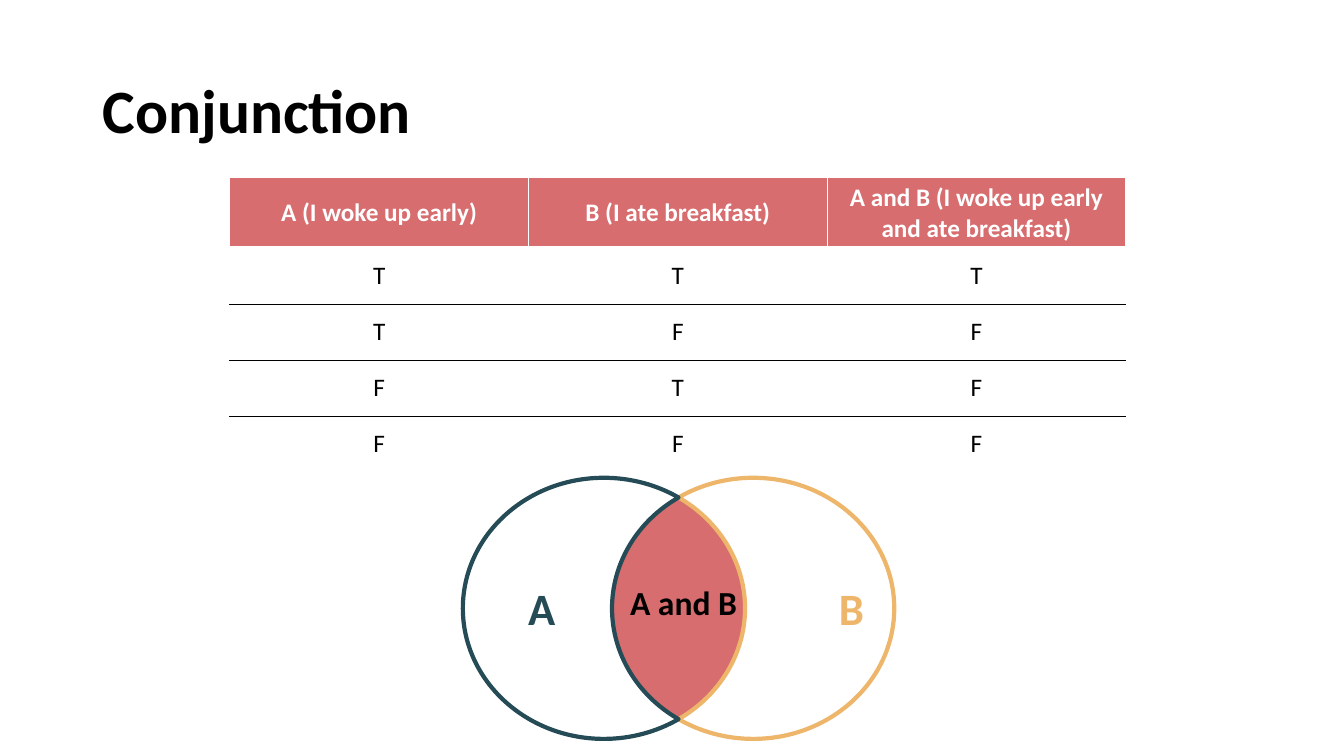
import math
import dataclasses
import pptx
import pptx.util
import pptx.dml.color
import pptx.enum.text
import pptx.oxml
import pptx.oxml.ns


@dataclasses.dataclass(frozen=True)
class Theme:
    font: str = "Calibri"
    black: str = "000000"
    white: str = "FFFFFF"
    rose: str = "D76D6F"
    teal: str = "254B56"
    gold: str = "EEB66B"
    blue: str = "325491"
    title: int = 44
    name: int = 32
    both: int = 24
    cell: int = 18


THEME = Theme()
WIDE = pptx.util.Inches(13.33)
HIGH = pptx.util.Inches(7.5)
ALIGN = pptx.enum.text.PP_ALIGN
ANCHOR = pptx.enum.text.MSO_ANCHOR
HEAD = ["A (I woke up early)", "B (I ate breakfast)",
        "A and B (I woke up early and ate breakfast)"]
TRUTH = ["TTT", "TFF", "FTF", "FFF"]


def across(share):
    return round(WIDE * share / 100)


def down(share):
    return round(HIGH * share / 100)


def color(code):
    return pptx.dml.color.RGBColor.from_string(code)


def write(frame, text, size, ink=THEME.black, bold=True, align=ALIGN.LEFT, space=None):
    para = frame.paragraphs[0]
    para.alignment = align
    para.line_spacing = space
    run = para.add_run()
    run.text = text
    run.font.name = THEME.font
    run.font.size = pptx.util.Pt(size)
    run.font.bold = bold
    run.font.color.rgb = color(ink)


def label(slide, text, left, top, width, height, size, anchor=ANCHOR.TOP, **form):
    box = slide.shapes.add_textbox(across(left), down(top), across(width), down(height))
    box.text_frame.word_wrap = True
    box.text_frame.vertical_anchor = anchor
    write(box.text_frame, text, size, **form)


def border(cell, side, ink, width):
    line = pptx.oxml.parse_xml(
        f'<a:ln{side} {pptx.oxml.ns.nsdecls("a")} w="{pptx.util.Pt(width)}">'
        f'<a:solidFill><a:srgbClr val="{ink}"/></a:solidFill></a:ln{side}>')
    cell._tc.get_or_add_tcPr().append(line)


def table(slide, left, top, width, head, row):
    rows = [HEAD, *TRUTH]
    last = len(rows) - 1
    frame = slide.shapes.add_table(
        len(rows), len(HEAD), across(left), down(top), across(width),
        down(head + row * last))
    grid = frame.table
    grid.horz_banding = False
    for r, texts in enumerate(rows):
        grid.rows[r].height = down(row if r else head)
        for c, text in enumerate(texts):
            cell = grid.cell(r, c)
            cell.vertical_anchor = ANCHOR.MIDDLE
            write(cell.text_frame, text, THEME.cell, bold=r == 0, align=ALIGN.CENTER,
                  ink=THEME.black if r else THEME.white)
            border(cell, "L", THEME.white, 1)
            border(cell, "R", THEME.white, 1)
            border(cell, "T", THEME.black if r > 1 else THEME.white, 3 if r == 1 else 1)
            border(cell, "B", THEME.black if 0 < r < last else THEME.white, 1 if r else 3)
            if r:
                cell.fill.background()
            else:
                cell.fill.solid()
                cell.fill.fore_color.rgb = color(THEME.rose)


def arc(mid, turns, center, rx, ry):
    def spot(turn, pull=0):
        x = math.cos(turn) - pull * math.sin(turn)
        y = math.sin(turn) + pull * math.cos(turn)
        return across(mid + rx * x), down(center + ry * y)

    curves = []
    for start, end in zip(turns, turns[1:]):
        pull = 4 / 3 * math.tan((end - start) / 4)
        curves.append((spot(start), spot(start, pull), spot(end, -pull), spot(end)))
    return curves


def outline(slide, curves, ink, width, fill=None):
    ends = [curve[-1] for curve in curves]
    build = slide.shapes.build_freeform(*curves[0][0])
    build.add_line_segments(ends, close=True)
    shape = build.convert_to_shape()
    left, top = min(x for x, y in ends), min(y for x, y in ends)
    lines = shape._element.findall(".//" + pptx.oxml.ns.qn("a:lnTo"))
    for line, curve in zip(lines, curves):
        knots = "".join(f'<a:pt x="{x - left}" y="{y - top}"/>' for x, y in curve[1:])
        bend = pptx.oxml.parse_xml(
            f'<a:cubicBezTo {pptx.oxml.ns.nsdecls("a")}>{knots}</a:cubicBezTo>')
        line.getparent().replace(line, bend)
    shape.shadow.inherit = False
    shape.line.color.rgb = color(ink)
    shape.line.width = pptx.util.Pt(width)
    if fill:
        shape.fill.solid()
        shape.fill.fore_color.rgb = color(fill)
    else:
        shape.fill.background()


def venn(slide, mid, center, gap, rx, ry):
    size = {"center": center, "rx": rx, "ry": ry}
    cut = math.acos(gap / rx)
    pi = math.pi
    west, east = mid - gap, mid + gap
    near = [-cut, 0, cut]
    far = [pi - cut, pi, pi + cut]
    wide = [cut - pi, -pi / 2, 0, pi / 2, pi - cut]
    back = [turn + pi for turn in wide]
    outline(slide, arc(west, near, **size) + arc(east, far, **size),
            THEME.blue, 1, THEME.rose)
    label(slide, "A", 38.56, 76.2, 4.05, 8.53, THEME.name, ink=THEME.teal)
    label(slide, "B", 61.67, 76.2, 4.05, 8.53, THEME.name, ink=THEME.gold)
    label(slide, "A and B", 45.76, 76.27, 10.2, 6.67, THEME.both, align=ALIGN.CENTER)
    outline(slide, arc(east, wide, **size) + arc(west, near[::-1], **size), THEME.gold, 3)
    outline(slide, arc(west, back, **size) + arc(east, far[::-1], **size), THEME.teal, 3)


def main():
    deck = pptx.Presentation()
    deck.slide_width, deck.slide_height = WIDE, HIGH
    slide = deck.slides.add_slide(deck.slide_layouts[6])
    label(slide, "Conjunction", 6.9, 5.33, 86.27, 19.33, THEME.title,
          anchor=ANCHOR.MIDDLE, space=0.9)
    table(slide, left=17.1, top=23.47, width=66.67, head=9.35, row=7.41)
    venn(slide, mid=50.49, center=80.47, gap=5.55, rx=10.5, ry=17.27)
    deck.save("out.pptx")


if __name__ == "__main__":
    main()
